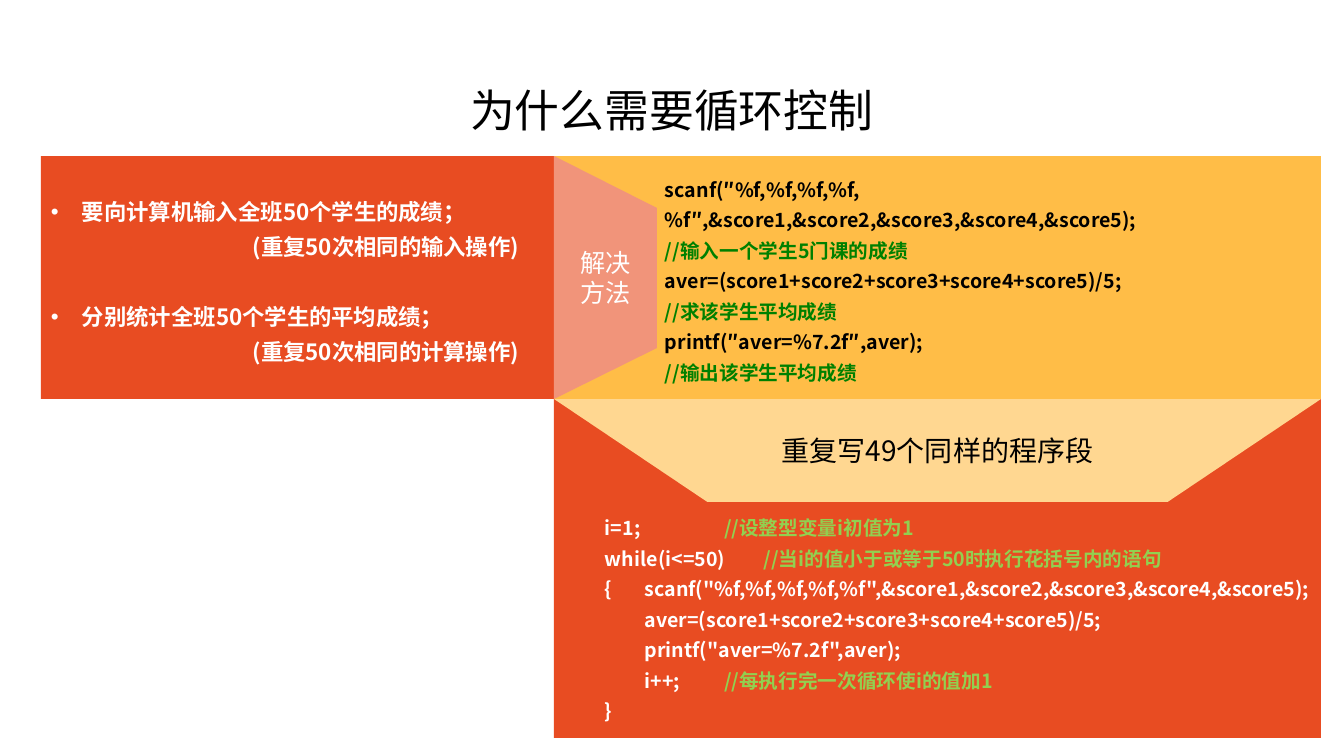
from lxml import etree
from pptx import Presentation, util as u
from pptx.dml.color import RGBColor
from pptx.enum import shapes, text
from pptx.oxml.ns import qn

PX = 914400 / 100.8
FACE = "Noto Sans CJK SC"
RED, AMBER, PALE, PINK = "E84C22", "FFBD47", "FFD791", "F1947A"
WHITE, BLACK, GREEN, LIME = "FFFFFF", "000000", "008000", "92D050"


def paint(target, tone):
    target.rgb = RGBColor.from_string(tone)


def write(shape, lines, size, tone, bold=False, align=text.PP_ALIGN.LEFT,
          space=None, pads=(10, 4, 10, 4), tab=0):
    frame = shape.text_frame
    frame.word_wrap = True
    frame.vertical_anchor = text.MSO_ANCHOR.MIDDLE
    (frame.margin_left, frame.margin_top,
     frame.margin_right, frame.margin_bottom) = [round(n * PX) for n in pads]
    for i, line in enumerate(lines):
        para = frame.add_paragraph() if i else frame.paragraphs[0]
        para.alignment = align
        if space:
            para.line_spacing = space
        props = para._p.get_or_add_pPr()
        if line[0][0].startswith("•"):
            line = [(line[0][0][1:], tone)]
            props.set("marL", str(round(31 * PX)))
            props.set("indent", str(round(-31 * PX)))
            etree.SubElement(props, qn("a:buFont"), typeface="Arial")
            etree.SubElement(props, qn("a:buChar"), char="•")
            if i:
                para.space_before = u.Pt(25)
        if tab:
            stops = etree.SubElement(props, qn("a:tabLst"))
            for n in range(1, 7):
                etree.SubElement(stops, qn("a:tab"), pos=str(n * tab), algn="l")
        font = para.font
        font.size, font.bold, font.name = u.Pt(size), bold, FACE
        tones = {c for _, c in line}
        if len(tones) == 1:
            font.fill.solid()
            paint(font.fill.fore_color, line[0][1])
        etree.SubElement(props.find(qn("a:defRPr")), qn("a:ea"), typeface=FACE)
        for words, c in line:
            run = para.add_run()
            run.text = words
            if len(tones) > 1:
                paint(run.font.color, c)


deck = Presentation()
deck.slide_width, deck.slide_height = round(1344 * PX), round(756 * PX)
slide = deck.slides.add_slide(deck.slide_layouts[6])
board = slide.shapes

title = board.add_textbox(*[round(n * PX) for n in (92, 40, 1160, 146)])
write(title, [[("为什么需要循环控制", BLACK)]], 32, BLACK,
      align=text.PP_ALIGN.CENTER, space=0.9)

RECT = shapes.MSO_SHAPE.RECTANGLE
FUNNEL = shapes.MSO_SHAPE.FLOWCHART_MANUAL_OPERATION
panels = []
for kind, box, tone in [
    (RECT, (554, 399, 767, 339), RED),
    (FUNNEL, (554, 399, 767, 103), PALE),
    (RECT, (554, 156, 767, 243), AMBER),
    (RECT, (41, 156, 513, 243), RED),
]:
    panels.append((board.add_shape(kind, *[round(n * PX) for n in box]), tone))

path = board.build_freeform(554, 156, scale=PX)
path.add_line_segments([(657, 208), (657, 348), (554, 399)], close=True)
panels.append((path.convert_to_shape(), PINK))

for shape, tone in panels:
    shape.shadow.inherit = False
    shape.fill.solid()
    paint(shape.fill.fore_color, tone)
    shape.line.fill.background()
loop, again, once, task, way = [shape for shape, _ in panels]

write(loop, [
    [("i=1;\t\t\t", WHITE), ("//设整型变量i初值为1", LIME)],
    [("while(i<=50)\t", WHITE), ("//当i的值小于或等于50时执行花括号内的语句", LIME)],
    [('{\tscanf("%f,%f,%f,%f,%f",&score1,&score2,&score3,&score4,&score5);', WHITE)],
    [("\taver=(score1+score2+score3+score4+score5)/5;", WHITE)],
    [('\tprintf("aver=%7.2f",aver);', WHITE)],
    [("\ti++;\t\t", WHITE), ("//每执行完一次循环使i的值加1", LIME)],
    [("}", WHITE)],
], 14, WHITE, bold=True, space=1.3, pads=(51, 99, 10, 4), tab=u.Cm(1))

write(again, [[("重复写49个同样的程序段", BLACK)]], 20, BLACK,
      align=text.PP_ALIGN.CENTER, pads=(7, 4, 7, 4))

write(once, [
    [("scanf(″%f,%f,%f,%f,%f″,&score1,&score2,&score3,&score4,&score5);", BLACK)],
    [("//输入一个学生5门课的成绩", GREEN)],
    [("aver=(score1+score2+score3+score4+score5)/5;", BLACK)],
    [("//求该学生平均成绩", GREEN)],
    [("printf(″aver=%7.2f″,aver);", BLACK)],
    [("//输出该学生平均成绩", GREEN)],
], 14, BLACK, bold=True, space=1.3, pads=(111, 4, 10, 4))

write(task, [[(words, WHITE)] for words in (
    "•要向计算机输入全班50个学生的成绩；",
    "\t\t(重复50次相同的输入操作)",
    "•分别统计全班50个学生的平均成绩；",
    "\t\t(重复50次相同的计算操作)",
)], 16, WHITE, bold=True, space=1.3, tab=u.Inches(1))

write(way, [[("解决", WHITE)], [("方法", WHITE)]], 18, WHITE,
      align=text.PP_ALIGN.CENTER)

deck.save("out.pptx")
